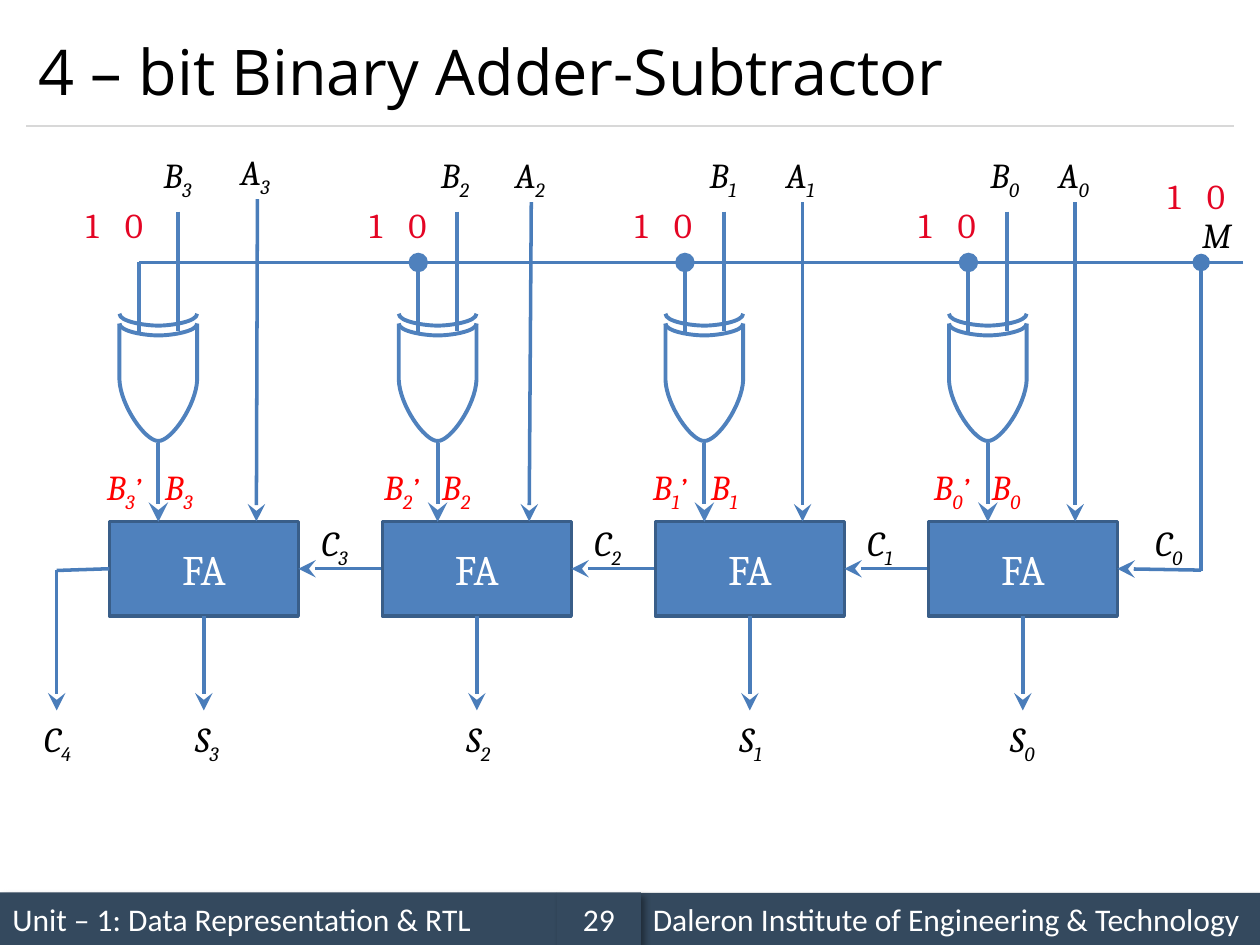
from lxml import etree
from pptx import Presentation
from pptx import util as u
from pptx.dml.color import RGBColor
from pptx.enum import shapes, text
from pptx.oxml.ns import qn

Pt = u.Pt

# Content
TITLE = "4 – bit Binary Adder-Subtractor"
FOOTER = [  # text, left, top, width, alignment
    ("Unit – 1: Data Representation & RTL", 0, 510, 318.2, "LEFT"),
    ("Daleron Institute of Engineering & Technology", 366, 510.2, 354, "LEFT"),
    ("29", 318.2, 510, 48, "CENTER"),
]
STAGES = [  # bit, gate centre, B, A and S label lefts, A wire top and bottom, "0" left
    dict(bit="3", gate=90.5, b=86.4, a=130.3, s=104.4, wire=((147.1, 113.8), (146.5, 298)), zero=64.3),
    dict(bit="2", gate=250.1, b=244.8, a=287.3, s=259.4, wire=((303.6, 115.5), (302.4, 298)), zero=226.3),
    dict(bit="1", gate=402.5, b=398.4, a=442.1, s=415.4, wire=((458.6, 115.5), (458.6, 298)), zero=378),
    dict(bit="0", gate=564.5, b=558.9, a=597.8, s=570.2, wire=((614.4, 115.5), (614.4, 298)), zero=540.1),
]
COLORS = dict(bar="34495E", rule="D8D8D8", adder="4F81BD", edge="395E89", wire="4A7DBA",
              gate="4F81BD", black="000000", white="FFFFFF", digit="E40524", red="FF0000")

# Layout
ADDER_LEFT, ADDER_TOP, ADDER_W, ADDER_H, ADDER_STEP = 62.5, 298, 108, 54, 156
ADDER_MID = ADDER_TOP + ADDER_H / 2
ADDER_BOTTOM = ADDER_TOP + ADDER_H
OUTPUT_Y = 406
BUS_Y, MODE_X = 150, 686.4
GATE_HALF, INPUT_GAP = 22.2, 11.1
GATE_TOP, GATE_SIDE, GATE_TIP = 184.9, 217.2, 252

prs = Presentation()
prs.slide_width, prs.slide_height = Pt(720), Pt(540)
slide = prs.slides.add_slide(prs.slide_layouts[6])


def rgb(name):
    return RGBColor.from_string(COLORS[name])


def style(run, size, font, color, italic=False):
    run.font.size, run.font.name, run.font.italic = Pt(size), font, italic
    run.font.color.rgb = rgb(color)


def box(words, left, top, width, height, fill, size, font, align="CENTER", edge=None):
    rect = slide.shapes.add_shape(shapes.MSO_SHAPE.RECTANGLE, Pt(left), Pt(top), Pt(width), Pt(height))
    rect.shadow.inherit = False
    rect.fill.solid()
    rect.fill.fore_color.rgb = rgb(fill)
    if edge:
        rect.line.color.rgb, rect.line.width = rgb(edge), Pt(2)
    else:
        rect.line.fill.background()
    frame = rect.text_frame
    frame.text = words
    frame.vertical_anchor = text.MSO_ANCHOR.MIDDLE
    frame.paragraphs[0].alignment = getattr(text.PP_ALIGN, align)
    style(frame.paragraphs[0].runs[0], size, font, "white")
    return rect


def add_shadow(shape):
    effects = shape._element.spPr.find(qn("a:effectLst"))
    outer = etree.SubElement(effects, qn("a:outerShdw"), blurRad=str(Pt(4)), dist=str(Pt(3)),
                             dir="2700000", algn="tl", rotWithShape="0")
    black = etree.SubElement(outer, qn("a:srgbClr"), val=COLORS["black"])
    etree.SubElement(black, qn("a:alpha"), val="40000")


def label(letter, left, top, width=33.5, sub="", mark="", color="black", italic=True):
    area = slide.shapes.add_textbox(Pt(left), Pt(top), Pt(width), Pt(31.5))
    area.text_frame.word_wrap = False
    paragraph = area.text_frame.paragraphs[0]
    for words, size in ((letter, 20), (sub, 20), (mark, 18)):
        if words:
            run = paragraph.add_run()
            run.text = words
            style(run, size, "Cambria", color, italic)
            if words == sub:
                run.font._element.set("baseline", "-25000")


def wire(start, end, color="wire", width=2, head=None, tail=None):
    line = slide.shapes.add_connector(shapes.MSO_CONNECTOR.STRAIGHT, *map(Pt, start + end))
    line.line.color.rgb, line.line.width = rgb(color), Pt(width)
    for tag, kind in (("a:headEnd", head), ("a:tailEnd", tail)):
        if kind:
            etree.SubElement(line.line._get_or_add_ln(), qn(tag), type=kind, w="lg", len="lg")
    etree.SubElement(line._element.spPr, qn("a:effectLst"))


def outline(start, *segments):
    """Each segment is one point (straight) or three points (cubic curve)."""
    points = [(Pt(x), Pt(y)) for segment in segments for x, y in segment]
    builder = slide.shapes.build_freeform(Pt(start[0]), Pt(start[1]))
    builder.add_line_segments(points, close=False)
    shape = builder.convert_to_shape()
    steps = iter(list(shape._element.iter(qn("a:lnTo"))))
    for segment in segments:
        group = [next(steps) for _ in segment]
        if len(group) == 3:
            bezier = etree.Element(qn("a:cubicBezTo"))
            group[0].addprevious(bezier)
            for step in group:
                bezier.append(step[0])
                step.getparent().remove(step)
    shape.shadow.inherit = False
    shape.fill.background()
    shape.line.color.rgb, shape.line.width = rgb("gate"), Pt(2.25)


def xor_gate(x, junction):
    left, right = x - GATE_HALF, x + GATE_HALF
    wire((x - INPUT_GAP, BUS_Y), (x - INPUT_GAP, 191), "gate", 2.25, head=junction)
    wire((x + INPUT_GAP, 121), (x + INPUT_GAP, 189), "gate", 2.25)
    wire((x, 253), (x, 298.2), "gate", 2.25, tail="stealth")
    outline((right, GATE_TOP), [(right, GATE_SIDE)],
            [(right - 0.6, 231.5), (x + 7.6, GATE_TIP), (x, GATE_TIP)],
            [(x - 7.6, GATE_TIP), (left + 0.6, 231.5), (left, GATE_SIDE)],
            [(left, GATE_TOP)])
    for top in (GATE_TOP, GATE_TOP - 5.6):
        dip = top + 6.8
        outline((left, top), [(left, top + 4.6), (x - 7.4, dip), (x, dip)],
                [(x + 7.4, dip), (right, top + 4.6), (right, top)])


def choice(zero_left, top):
    for digit, left in (("1", zero_left - 22.3), ("0", zero_left)):
        label(digit, left, top, 26, color="digit", italic=False)


# Title, rule and footer
heading = slide.shapes.add_textbox(Pt(15), Pt(8.6), Pt(690), Pt(63)).text_frame
heading.word_wrap = True
heading.vertical_anchor = text.MSO_ANCHOR.MIDDLE
heading.text = TITLE
style(heading.paragraphs[0].runs[0], 36, "Open Sans", "black")
wire((15, 72), (705, 72), "rule", 0.75)
for words, left, top, width, align in FOOTER:
    add_shadow(box(words, left, top, width, 30, "bar", 18, "Calibri", align))

# Mode line M and its branch to the first carry
wire((710.4, BUS_Y), (79.4, BUS_Y))
wire((MODE_X, BUS_Y), (MODE_X, 326.5), head="oval")
label("M", 679.9, 118.6, 30)
choice(682.6, 96)

# Stages, from the highest bit to the lowest
for i, stage in enumerate(STAGES):
    bit, last = stage["bit"], i == len(STAGES) - 1
    left = ADDER_LEFT + i * ADDER_STEP
    right, center = left + ADDER_W, left + ADDER_W / 2
    box("FA", left, ADDER_TOP, ADDER_W, ADDER_H, "adder", 24, "Cambria", edge="edge")
    carry_start = (MODE_X, 325.8) if last else (left + ADDER_STEP, ADDER_MID)
    wire(carry_start, (right, ADDER_MID), tail="stealth")
    label("C", 653 if last else right + 6, 294.5, sub=bit)
    wire(*stage["wire"], tail="stealth")
    wire((center, ADDER_BOTTOM), (center, OUTPUT_Y), tail="stealth")
    label("S", stage["s"], 406.3, sub=bit)
    xor_gate(stage["gate"], "oval" if i else None)
    label("A", stage["a"], 82.6 if i == 0 else 84.2, sub=bit)
    label("B", stage["b"], 84.2, sub=bit)
    label("B", stage["b"] + 0.7, 262.6, sub=bit, color="red")
    label("B", stage["b"] - 32.4, 262.6, 38, sub=bit, mark="’", color="red")
    choice(stage["zero"], 112.6)

# Carry out
wire((ADDER_LEFT, ADDER_MID), (32.4, 326))
wire((32.4, 326), (32.4, OUTPUT_Y), tail="stealth")
label("C", 18, 406.3, sub="4")

prs.save("out.pptx")
